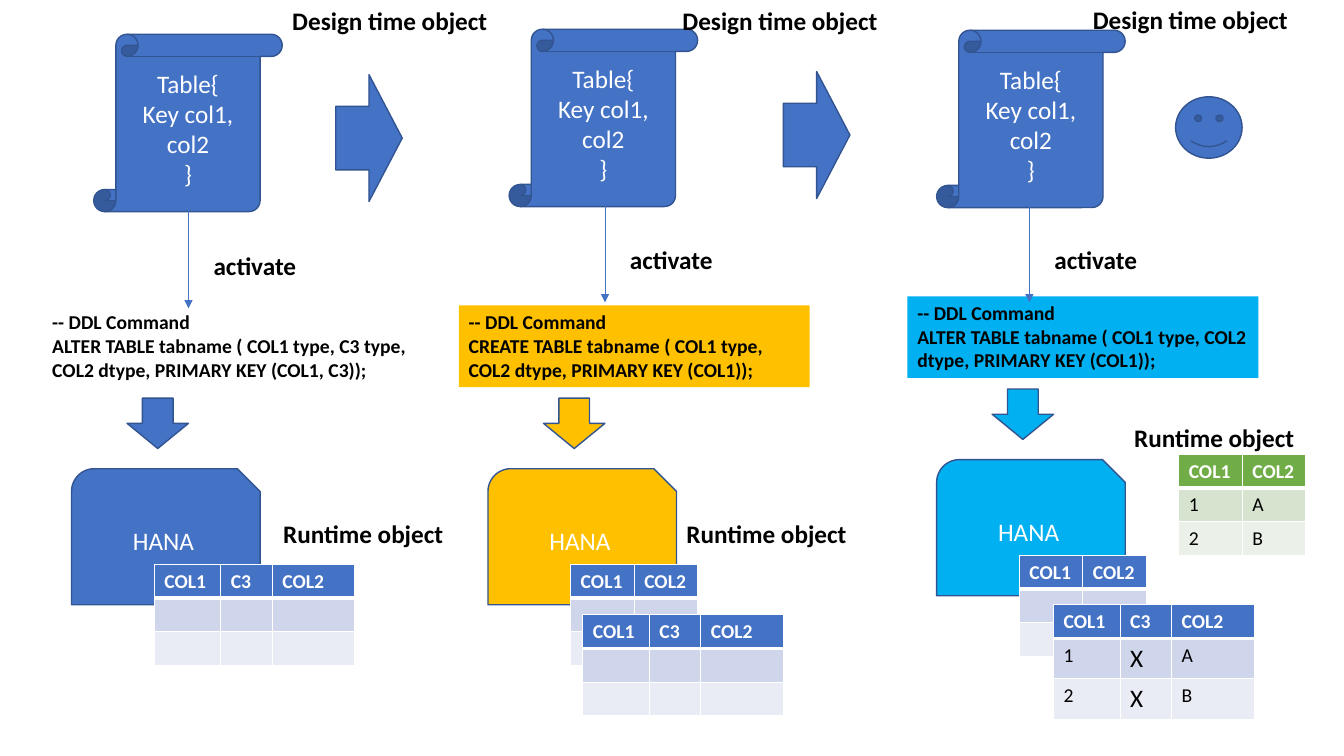
"""Build the slide on table activation from design time to runtime objects."""
from lxml import etree
from pptx import Presentation, util as u
from pptx.dml.color import RGBColor
from pptx.enum import shapes, text
from pptx.oxml import ns

COLORS = {"blue": "4472C4", "outline": "325491", "amber": "FFC000", "cyan": "00B0F0",
          "green": "70AD47", "white": "FFFFFF", "black": "000000",
          "blue band": "CFD5EA", "blue pale": "E9EBF5",
          "green band": "D5E3CF", "green pale": "EBF1E9"}
CELL = u.Inches(0.1)
SHAPE = shapes.MSO_SHAPE
COLUMN_WIDTHS = {"COL1": 6.6, "C3": 5.1, "COL2": 8.2}
PAIR, TRIPLE = ["COL1", "COL2"], ["COL1", "C3", "COL2"]


class Board:
    """Hold the style and the slide; lengths are columns and rows of the grid."""

    def __init__(self, slide, font="Calibri"):
        self.slide, self.font = slide, font

    def grid(self, *lengths):
        return [round(length * CELL) for length in lengths]

    def color(self, name):
        return RGBColor.from_string(COLORS[name])

    def paint(self, target, name):
        target.fill.solid()
        target.fill.fore_color.rgb = self.color(name)

    def fill_text(self, frame, lines, size, color, bold=False, align=text.PP_ALIGN.LEFT):
        frame.word_wrap = True
        frame.text = "\n".join(lines)
        for paragraph in frame.paragraphs:
            self.style(paragraph, size, color, bold)
            paragraph.alignment = align

    def style(self, paragraph, size, color, bold):
        font = paragraph.font
        font.name, font.size, font.bold = self.font, u.Pt(size), bold
        font.color.rgb = self.color(color)

    def shape(self, kind, box, color, lines=()):
        shape = self.slide.shapes.add_shape(kind, *self.grid(*box))
        shape.shadow.inherit = False
        self.paint(shape, color)
        shape.line.color.rgb = self.color("outline")
        shape.line.width = u.Pt(1)
        if lines:
            self.fill_text(shape.text_frame, lines, 18, "white", align=text.PP_ALIGN.CENTER)
            shape.text_frame.vertical_anchor = text.MSO_ANCHOR.MIDDLE

    def label(self, box, lines, size=18, fill=None):
        label = self.slide.shapes.add_textbox(*self.grid(*box))
        if fill:
            self.paint(label, fill)
        self.fill_text(label.text_frame, lines, size, "black", bold=True)

    def arrow(self, left, top, length):
        ends = self.grid(left, top, left, top + length)
        arrow = self.slide.shapes.add_connector(shapes.MSO_CONNECTOR.STRAIGHT, *ends)
        arrow.line.color.rgb = self.color("blue")
        arrow.line.width = u.Pt(0.5)
        properties = arrow._element.spPr
        line = properties.find(ns.qn("a:ln"))
        etree.SubElement(line, ns.qn("a:tailEnd"), type="triangle")
        etree.SubElement(properties, ns.qn("a:effectLst"))

    def borders(self, cell, top, bottom):
        properties = cell._tc.get_or_add_tcPr()
        for side, width in zip("LRTB", (1, 1, top, bottom)):
            line = etree.SubElement(properties, ns.qn(f"a:ln{side}"), w=str(int(u.Pt(width))))
            fill = etree.SubElement(line, ns.qn("a:solidFill"))
            etree.SubElement(fill, ns.qn("a:srgbClr"), val=COLORS["white"])

    def table(self, left, top, header, rows=None, theme="blue", body_height=3.33):
        rows = [header] + (rows or [[""] * len(header)] * 2)
        widths = [COLUMN_WIDTHS[name] if header == TRIPLE else 6.3 for name in header]
        heights = [3.33, body_height, body_height]
        box = self.grid(left, top, sum(widths), sum(heights))
        table = self.slide.shapes.add_table(len(rows), len(header), *box).table
        for column, width in zip(table.columns, self.grid(*widths)):
            column.width = width
        fills = [theme, f"{theme} band", f"{theme} pale"]
        for index, (row, height) in enumerate(zip(table.rows, self.grid(*heights))):
            row.height = height
            for cell, value in zip(row.cells, rows[index]):
                cell.text = value
                self.style(cell.text_frame.paragraphs[0], 18 if value == "X" else 14,
                           "black" if index else "white", index == 0)
                self.borders(cell, 3 if index == 1 else 1, 1 if index else 3)
                self.paint(cell, fills[index])


def add_runtime(board, left, top, color, command, command_width, header):
    board.shape(SHAPE.SNIP_ROUND_RECTANGLE, (left, top, 18.7, 13.5), color, ["HANA"])
    board.label((left - 2.9, top - 16.2, command_width, 8.1),
                ["-- DDL Command", command], 14, None if color == "blue" else color)
    board.shape(SHAPE.DOWN_ARROW, (left + 5.5, top - 7, 6.1, 5), color)
    board.table(left + 8.2, top + 9.5, header)


def add_activation(board, scroll_left, scroll_top, arrow_left, arrow_top):
    board.shape(SHAPE.VERTICAL_SCROLL, (scroll_left, scroll_top, 18.7, 17.6), "blue",
                ["Table{", "Key col1,", "col2", "}"])
    board.arrow(arrow_left, arrow_top, 9.7)
    board.label((arrow_left + 1.5, arrow_top + 3.4, 22.3, 4), ["activate"])


presentation = Presentation()
presentation.slide_width, presentation.slide_height = u.Inches(13.33), u.Inches(7.5)
board = Board(presentation.slides.add_slide(presentation.slide_layouts[6]))

shared = "TABLE tabname ( COL1 type, COL2 dtype, PRIMARY KEY (COL1));"
keyed = "ALTER TABLE tabname ( COL1 type, C3 type, COL2 dtype, PRIMARY KEY (COL1, C3));"
for runtime in [(7.1, 46.5, "blue", keyed, 38.3, TRIPLE),
                (48.4, 46.5, "amber", f"CREATE {shared}", 34.8, PAIR),
                (92.9, 45.6, "cyan", f"ALTER {shared}", 34.8, PAIR)]:
    add_runtime(board, *runtime)

board.shape(SHAPE.SMILEY_FACE, (116.6, 9.6, 6.6, 6.1), "blue")
board.table(57.8, 61, TRIPLE)
board.table(116.9, 45.1, PAIR, [["1", "A"], ["2", "B"]], "green")
board.table(104.5, 60, TRIPLE, [["1", "X", "A"], ["2", "X", "B"]], body_height=4)

for activation in [(9.3, 3.4, 18.7, 20.9), (50.5, 2.9, 60, 20.3), (92.9, 3, 102.1, 20.3)]:
    add_activation(board, *activation)
for left, top in [(33.3, 7.4), (77.7, 7.1)]:
    board.shape(SHAPE.RIGHT_ARROW, (left, top, 6.6, 12.6), "blue")

captions = {"Design time object": [(28, 0), (66.7, 0), (107.4, -0.1)],
            "Runtime object": [(27.1, 50.9), (67.1, 50.9), (111.5, 41.4)]}
for caption, places in captions.items():
    for left, top in places:
        board.label((left, top, 29.8, 4), [caption])

presentation.save("out.pptx")
